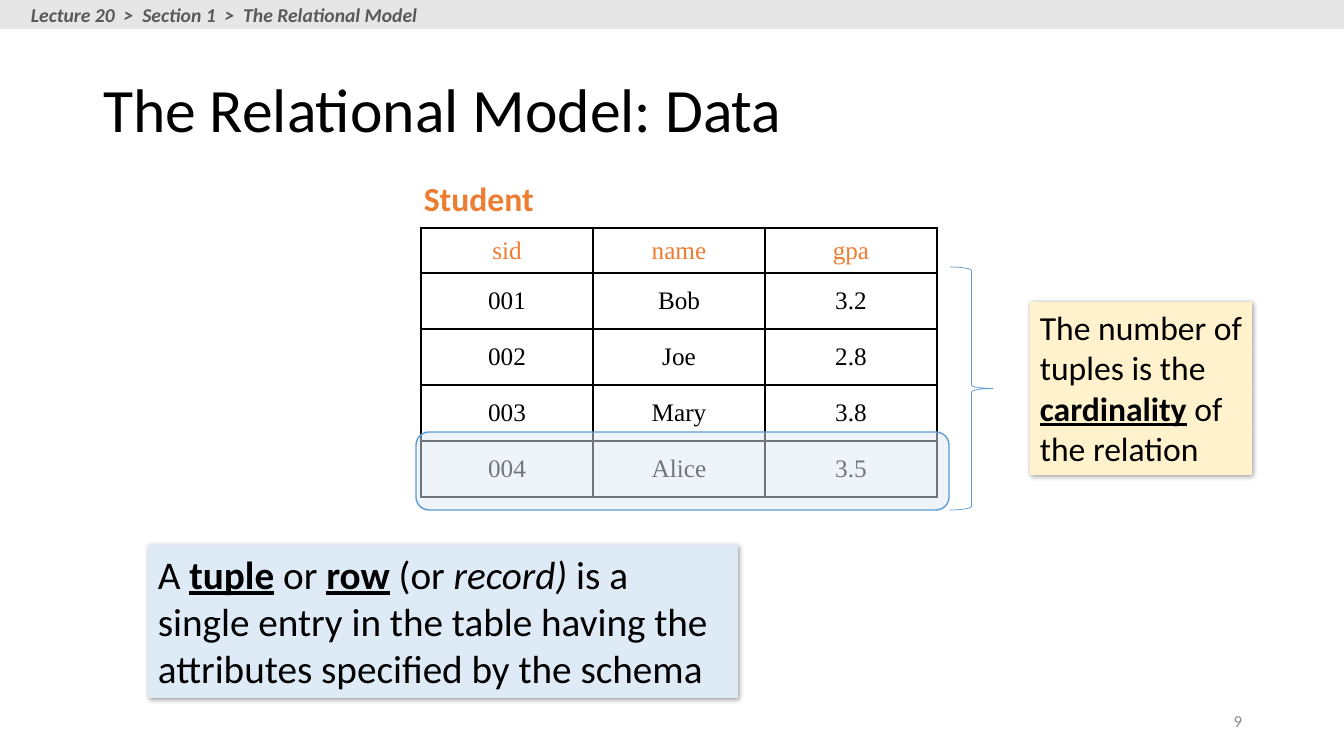
from lxml import etree
from pptx import Presentation
from pptx import util as u
from pptx.dml.color import RGBColor
from pptx.enum import shapes, text
from pptx.oxml.ns import qn

PX = 914400 / 100.8
BLACK, ORANGE, BLUE, PALE = "000000", "ED7D31", "5B9BD5", "DEEBF7"

TITLE = "The Relational Model: Data"
TRAIL = ["Lecture 20", "Section 1", "The Relational Model"]
STUDENTS = [
    ("sid", "name", "gpa"),
    ("001", "Bob", "3.2"),
    ("002", "Joe", "2.8"),
    ("003", "Mary", "3.8"),
    ("004", "Alice", "3.5"),
]
# Runs are (words, style): b bold, u underline, i italic
TUPLE = [
    ("A ", ""), ("tuple", "bu"), (" or ", ""), ("row", "bu"), (" (or ", ""),
    ("record) ", "i"),
    ("is a single entry in the table having the attributes specified by the schema", ""),
]
COUNT = [
    ("The number of tuples is the ", ""), ("cardinality", "bu"), (" of the relation", ""),
]
# Notes: runs, box in px, fill, text size
NOTES = [
    (TUPLE, (148, 545, 590, 153), PALE, 28),
    (COUNT, (1030, 302, 222, 173), "FFF2CC", 24),
]
LEFT, TOP, COL, HEAD, ROW = 421, 228, 172, 45, 56


def px(*nums):
    return [u.Emu(round(n * PX)) for n in nums]


def rgb(code):
    return RGBColor.from_string(code)


def node(parent, tag, **attrs):
    item = etree.SubElement(parent, qn(tag))
    for key, val in attrs.items():
        item.set(key, str(val))
    return item


def write(frame, runs, size, color=BLACK, font="Calibri", align="LEFT",
          anchor="TOP", wrap=True, style=""):
    """Fill the first paragraph of a frame with a string or a list of runs."""
    frame.word_wrap = wrap
    frame.vertical_anchor = text.MSO_ANCHOR[anchor]
    para = frame.paragraphs[0]
    para.alignment = text.PP_ALIGN[align]
    for words, marks in [(runs, style)] if isinstance(runs, str) else runs:
        run = para.add_run()
        run.text = words
        face = run.font
        face.name, face.size = font, u.Pt(size)
        face.color.rgb = rgb(color)
        face.bold, face.italic, face.underline = (m in marks for m in "biu")
    return para


def draw(parent, kind, box, fill=None, line=None, width=1):
    shape = parent.add_shape(shapes.MSO_SHAPE[kind], *px(*box))
    shape.shadow.inherit = False
    if fill:
        shape.fill.solid()
        shape.fill.fore_color.rgb = rgb(fill)
    else:
        shape.fill.background()
    if line:
        shape.line.color.rgb = rgb(line)
        shape.line.width = u.Pt(width)
    else:
        shape.line.fill.background()
    return shape


def label(parent, box, words, size, **look):
    frame = parent.add_textbox(*px(*box)).text_frame
    write(frame, words, size, **look)


def shade(shape):
    """Add a soft shadow to the lower right."""
    drop = node(shape.element.spPr.find(qn("a:effectLst")), "a:outerShdw",
                blurRad=u.Pt(4), dist=u.Pt(1), dir=45 * 60000, algn="tl", rotWithShape=0)
    node(node(drop, "a:srgbClr", val=BLACK), "a:alpha", val=40000)


def edge(cell, **widths):
    props = cell._tc.get_or_add_tcPr()
    for side, width in widths.items():
        line = node(props, "a:ln" + side, w=u.Pt(width))
        node(node(line, "a:solidFill"), "a:srgbClr", val=BLACK)


def table(parent):
    rows, cols = len(STUDENTS), len(STUDENTS[0])
    high = HEAD + ROW * (rows - 1)
    grid = parent.add_table(rows, cols, *px(LEFT, TOP, COL * cols, high)).table
    grid.first_row = grid.horz_banding = False
    for col in grid.columns:
        col.width = px(COL)[0]
    for r, row in enumerate(STUDENTS):
        grid.rows[r].height = px(ROW if r else HEAD)[0]
        for c, words in enumerate(row):
            cell = grid.cell(r, c)
            thick = {"L": c == 0, "R": c == cols - 1, "T": r < 2, "B": r in (0, rows - 1)}
            edge(cell, **{side: 2.25 if on else 1 for side, on in thick.items()})
            cell.fill.background()
            cell.vertical_anchor = text.MSO_ANCHOR.MIDDLE
            write(cell.text_frame, words, 18, color=BLACK if r else ORANGE,
                  font="Times New Roman", align="CENTER", anchor="MIDDLE")


def main():
    deck = Presentation()
    deck.slide_width, deck.slide_height = px(1344, 756)
    slide = deck.slides.add_slide(deck.slide_layouts[5])
    parts = slide.shapes

    title = parts.title
    title.left, title.top, title.width, title.height = px(93, 40, 1159, 146)
    para = write(title.text_frame, TITLE, 44, anchor="MIDDLE")
    para.line_spacing = 0.9
    title.text_frame.auto_size = text.MSO_AUTO_SIZE.NONE

    label(parts, (950, 701, 302, 40), "9", 12, color="8C8C8C", align="RIGHT", anchor="MIDDLE")
    table(parts)
    label(parts, (414, 173, 132, 50), "Student", 24, color=ORANGE, wrap=False, style="b")

    draw(parts, "RIGHT_BRACE", (950, 267, 43, 243), line=BLUE, width=0.5)
    mark = draw(parts, "ROUNDED_RECTANGLE", (416, 432, 533, 78), PALE, BLUE)
    tint = mark.element.spPr.find(qn("a:solidFill"))[0]
    node(tint, "a:alpha", val=50000)

    for runs, box, fill, size in NOTES:
        note = draw(parts, "RECTANGLE", box, fill)
        shade(note)
        write(note.text_frame, runs, size)

    header = parts.add_group_shape().shapes
    draw(header, "RECTANGLE", (0, 0, 1344, 29), "E7E6E6")
    label(header, (21, -2, 409, 34), "  >  ".join(TRAIL), 14, color="595959",
          wrap=False, style="bi")
    deck.save("out.pptx")


if __name__ == "__main__":
    main()
